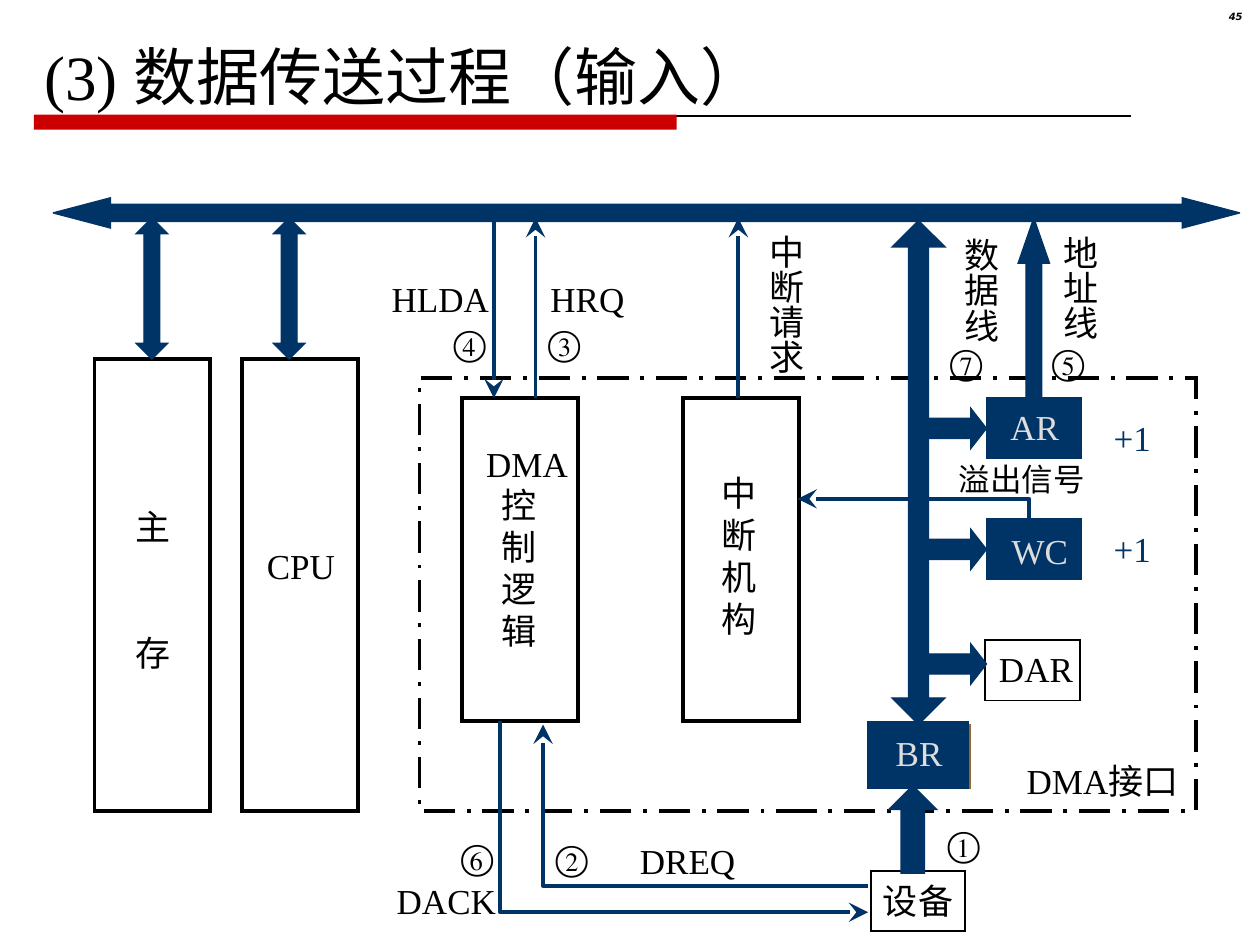
from dataclasses import dataclass
from typing import NamedTuple, Optional

from lxml.etree import SubElement
from pptx import Presentation
from pptx.dml.color import RGBColor
from pptx.enum.dml import MSO_LINE
from pptx.enum.shapes import MSO_CONNECTOR, MSO_SHAPE
from pptx.enum.text import MSO_ANCHOR, MSO_AUTO_SIZE, PP_ALIGN
from pptx.oxml.ns import qn
from pptx.util import Inches, Pt


@dataclass(frozen=True)
class Theme:
    navy: RGBColor = RGBColor(0x00, 0x33, 0x66)
    red: RGBColor = RGBColor(0xCC, 0x00, 0x00)
    brown: RGBColor = RGBColor(0x99, 0x66, 0x33)
    black: RGBColor = RGBColor(0x00, 0x00, 0x00)
    pale: RGBColor = RGBColor(0xDD, 0xDD, 0xDD)
    serif: str = "Times New Roman"
    sans: str = "DejaVu Sans"
    title: float = 36
    body: float = 20
    small: float = 18
    number: float = 5.7
    thin: float = 0.75
    thick: float = 2.25


THEME = Theme()


class Block(NamedTuple):
    left: float
    top: float
    width: float
    height: float
    fill: Optional[RGBColor] = None
    edge: Optional[RGBColor] = THEME.black
    weight: float = THEME.thick
    dash: Optional[MSO_LINE] = None
    kind: MSO_SHAPE = MSO_SHAPE.RECTANGLE
    adjust: tuple[float, ...] = ()


class Label(NamedTuple):
    text: str
    left: float
    top: float
    width: float
    height: float = 0.44
    color: RGBColor = THEME.black
    size: float = THEME.body
    upright: bool = False
    gap: float = 0  # points before each later line


def arrow(kind: MSO_SHAPE, left: float, top: float, width: float, height: float,
          *adjust: float, weight: float = THEME.thin) -> Block:
    return Block(left, top, width, height, THEME.navy, THEME.navy, weight,
                 kind=kind, adjust=adjust)


def draw_block(slide, block: Block) -> None:
    box = [Inches(v) for v in block[:4]]
    shape = slide.shapes.add_shape(block.kind, *box)
    shape.shadow.inherit = False
    for i, value in enumerate(block.adjust):
        shape.adjustments[i] = value
    if block.fill is None:
        shape.fill.background()
    else:
        shape.fill.solid()
        shape.fill.fore_color.rgb = block.fill
    if block.edge is None:
        shape.line.fill.background()
        return
    shape.line.color.rgb = block.edge
    shape.line.width = Pt(block.weight)
    if block.dash is not None:
        shape.line.dash_style = block.dash
    SubElement(shape.line._get_or_add_ln(), qn("a:miter"), lim="800000")


def draw_label(slide, label: Label) -> None:
    box = [Inches(v) for v in label[1:5]]
    frame = slide.shapes.add_textbox(*box).text_frame
    frame.text = label.text
    frame.word_wrap = False
    frame.auto_size = MSO_AUTO_SIZE.SHAPE_TO_FIT_TEXT
    if label.upright:
        frame._txBody.bodyPr.set("vert", "eaVert")
        frame.margin_left = frame.margin_right = Inches(0.05)
        frame.margin_top = frame.margin_bottom = Inches(0.1)
    for i, para in enumerate(frame.paragraphs):
        para.font.name = THEME.serif
        para.font.size = Pt(label.size)
        para.font.color.rgb = label.color
        if i and label.gap:
            para.space_before = Pt(label.gap)


def draw_wire(slide, *points: tuple[float, float], color: RGBColor = THEME.navy,
              weight: float = THEME.thick, head: bool = True) -> None:
    first, *rest = [(Inches(x), Inches(y)) for x, y in points]
    if len(rest) == 1:
        wire = slide.shapes.add_connector(MSO_CONNECTOR.STRAIGHT, *first, *rest[0])
        SubElement(wire._element.spPr, qn("a:effectLst"))
    else:
        pen = slide.shapes.build_freeform(*first)
        pen.add_line_segments(rest, close=False)
        wire = pen.convert_to_shape()
        wire.fill.background()
        wire.shadow.inherit = False
    wire.line.color.rgb = color
    wire.line.width = Pt(weight)
    if head:
        SubElement(wire.line._get_or_add_ln(), qn("a:tailEnd"),
                   type="stealth", w="lg", len="lg")


def draw_head(slide) -> None:
    # Red bar and rule
    draw_wire(slide, (0.27, 0.92), (8.98, 0.92), color=THEME.black,
              weight=THEME.thin, head=False)
    draw_block(slide, Block(0.27, 0.91, 5.1, 0.12, THEME.red, None))

    # Title
    title = slide.shapes.title
    title.left, title.top = Inches(0.25), Inches(0.25)
    title.width, title.height = Inches(6.83), Inches(0.7)
    frame = title.text_frame
    frame.text = "(3) 数据传送过程（输入）"
    frame.auto_size = MSO_AUTO_SIZE.NONE
    frame.vertical_anchor = MSO_ANCHOR.TOP
    para = frame.paragraphs[0]
    para.alignment = PP_ALIGN.LEFT
    para.font.name, para.font.size = THEME.serif, Pt(THEME.title)
    para.font.color.rgb = THEME.black

    # Page number
    box = slide.shapes.add_textbox(Inches(9.37), Inches(0.05), Inches(0.59), Inches(0.23))
    box.text_frame.word_wrap = True
    para = box.text_frame.paragraphs[0]
    para.text = "45"
    para.alignment, para.line_spacing = PP_ALIGN.RIGHT, 0.8
    para.font.name, para.font.size = THEME.sans, Pt(THEME.number)
    para.font.bold = para.font.italic = True
    para.font.color.rgb = THEME.black


def main() -> None:
    deck = Presentation()
    deck.slide_width, deck.slide_height = Inches(10), Inches(7.5)
    slide = deck.slides.add_slide(deck.slide_layouts[5])
    draw_head(slide)

    both, up = MSO_SHAPE.UP_DOWN_ARROW, MSO_SHAPE.UP_ARROW
    blocks = [
        # Memory, CPU, DMA logic, interrupt unit
        *(Block(x, 2.85, 0.92, 3.59) for x in (0.75, 1.92)),
        *(Block(x, 3.16, 0.92, 2.56) for x in (3.67, 5.42)),
        # DMA interface frame
        Block(3.33, 3, 6.16, 3.44, dash=MSO_LINE.LONG_DASH_DOT),
        # DAR and device
        *(Block(x, y, 0.75, 0.48, weight=1) for x, y in ((7.82, 5.08), (6.91, 6.91))),
        # Bus and the arrows that join it
        arrow(MSO_SHAPE.LEFT_RIGHT_ARROW, 0.42, 1.57, 9.42, 0.24, 0.57, 1.9),
        *(arrow(both, x, 1.73, 0.25, 1.12, 0.89, 0.5) for x in (1.08, 2.17)),
        arrow(both, 7.08, 1.75, 0.42, 4, 0.7, 0.38),
        arrow(up, 8.08, 1.73, 0.25, 1.44, 0.5, 1.44),
        arrow(up, 7.08, 6.25, 0.33, 0.67, 0.5, 0.5, weight=THEME.thick),
        # Data line to each register
        *(arrow(MSO_SHAPE.RIGHT_ARROW, 7.33, y, 0.5, 0.32, 0.5, 0.39)
          for y in (3.24, 4.2, 5.11)),
        # AR and WC
        *(Block(7.83, y, 0.75, 0.48, THEME.navy, THEME.navy, THEME.thin)
          for y in (3.16, 4.12)),
        # BR with its brown rim
        Block(6.91, 5.75, 0.79, 0.51, THEME.brown, THEME.brown, THEME.thin),
        Block(6.91, 5.75, 0.75, 0.48, THEME.navy, THEME.navy, 4.5),
    ]
    for block in blocks:
        draw_block(slide, block)

    wires = [
        ((3.92, 1.73), (3.92, 3.16)),  # HLDA
        ((4.25, 3.16), (4.25, 1.73)),  # HRQ
        ((5.86, 3.16), (5.86, 1.73)),  # interrupt request
        ((8.17, 4.12), (8.17, 3.96), (6.33, 3.96)),  # overflow
        ((6.89, 7.03), (4.31, 7.03), (4.31, 5.75)),  # DREQ
        ((3.97, 5.72), (3.97, 7.24), (6.89, 7.24)),  # DACK
    ]
    for wire in wires:
        draw_wire(slide, *wire)

    steps = [("①", 7.42, 6.48), ("②", 4.31, 6.59), ("③", 4.25, 2.5), ("④", 3.5, 2.5),
             ("⑤", 8.25, 2.65), ("⑥", 3.56, 6.58), ("⑦", 7.44, 2.65)]
    labels = [
        # Units
        Label("主\n存", 0.98, 3.96, 0.5, 1.44, gap=48),
        Label("CPU", 2.02, 4.27, 0.76),
        Label("DMA", 3.76, 3.46, 0.87),
        Label("控\n制\n逻\n辑", 3.88, 3.79, 0.5, 1.44),
        Label("中\n断\n机\n构", 5.63, 3.69, 0.5, 1.44),
        Label("DMA接口", 8.05, 5.98, 1.5),
        Label("设备", 6.91, 6.93, 0.8),
        # Registers
        Label("DAR", 7.83, 5.09, 0.82),
        Label("AR", 7.92, 3.17, 0.62, color=THEME.pale),
        Label("WC", 7.93, 4.15, 0.68, color=THEME.pale),
        Label("BR", 7.01, 5.76, 0.62, color=THEME.pale),
        *(Label("+1", 8.74, y, 0.54, color=THEME.navy) for y in (3.26, 4.14)),
        # Signals
        Label("HLDA", 3.01, 2.15, 1),
        Label("HRQ", 4.27, 2.15, 0.82),
        Label("DREQ", 4.98, 6.61, 0.99),
        Label("DACK", 3.05, 6.93, 1.02),
        Label("溢出信号", 7.51, 3.6, 1.24, 0.4, size=THEME.small),
        Label("中断请求", 5.92, 1.76, 0.53, 1.32, upright=True),
        Label("数据线", 7.47, 1.79, 0.53, 1.04, upright=True),
        Label("地址线", 8.26, 1.77, 0.53, 1.04, upright=True),
        # Step numbers
        *(Label(text, x, y, 0.5) for text, x, y in steps),
    ]
    for label in labels:
        draw_label(slide, label)

    deck.save("out.pptx")


if __name__ == "__main__":
    main()
